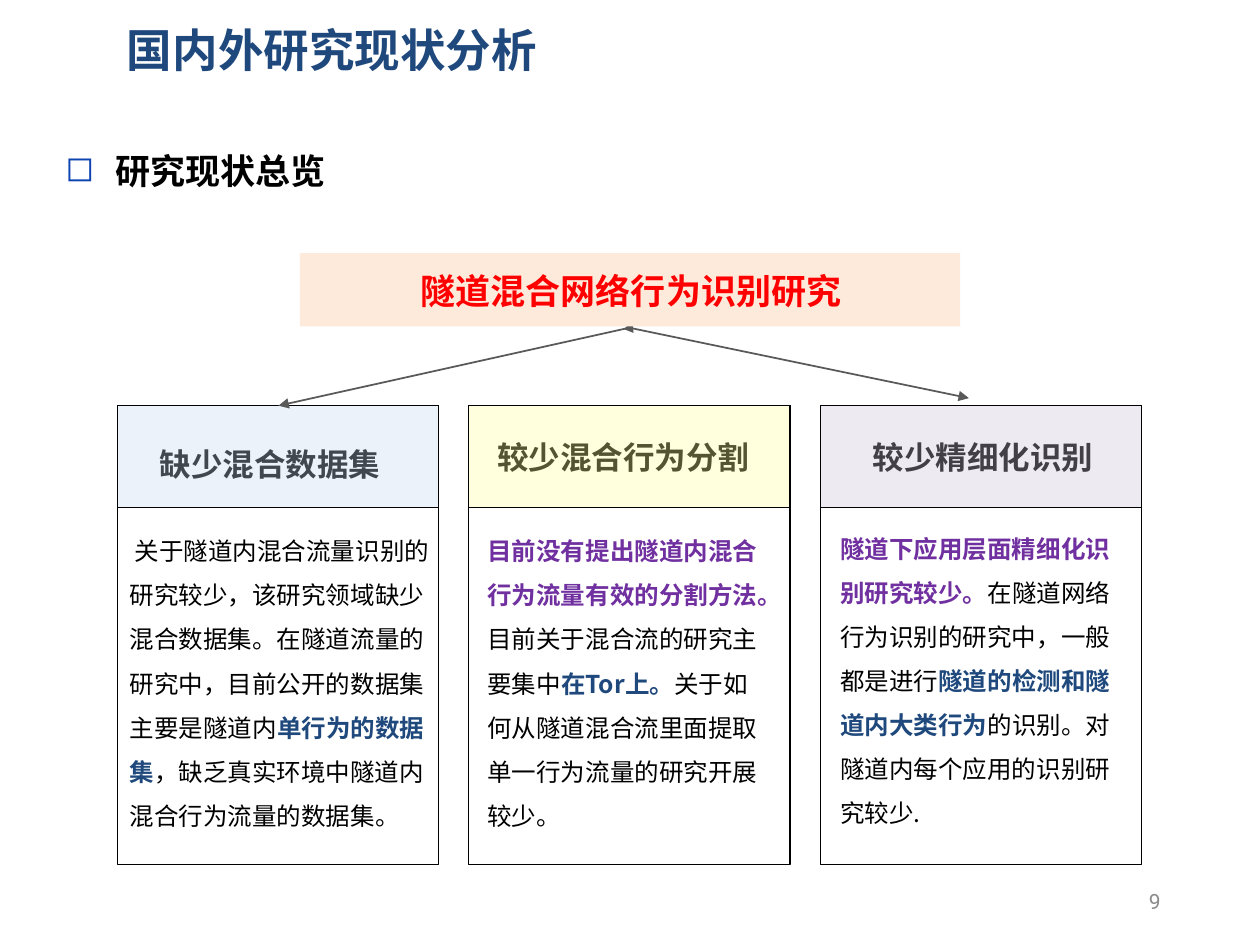
from dataclasses import dataclass

from lxml import etree
from pptx import Presentation
from pptx import util as u
from pptx.dml.color import RGBColor
from pptx.enum import shapes, text
from pptx.oxml.ns import qn

In = u.Inches


@dataclass(frozen=True)
class Theme:
    cjk: str = "Noto Sans CJK SC"
    latin: str = "Arial"
    title_font: str = "Roboto"
    black: str = "000000"
    navy: str = "1F497D"
    purple: str = "7030A0"
    red: str = "FF0000"
    bullet: str = "0E44B1"
    arrow: str = "595959"
    page: str = "8C8C8C"
    banner: str = "FDEADA"
    headers: tuple = ("C6D9F1", "FFFF99", "CCC1DA")
    title_size: int = 26
    topic_size: int = 20
    header_size: int = 18
    body_size: int = 14
    page_size: int = 12


class SlideBuilder:
    def __init__(self, slide, theme):
        self.slide, self.theme = slide, theme

    def text(self, at, runs, size, font, bold=False, spacing=None,
             align=text.PP_ALIGN.LEFT, anchor=text.MSO_ANCHOR.TOP):
        """Add a one-paragraph text box; runs are (text, colour[, bold])."""
        tf = self.slide.shapes.add_textbox(*map(In, at)).text_frame
        tf.word_wrap = True
        tf.vertical_anchor = anchor
        p = tf.paragraphs[0]
        p.alignment = align
        if spacing:
            p.line_spacing = spacing
        for words, colour, *strong in runs:
            r = p.add_run()
            r.text = words
            r.font.size = u.Pt(size)
            r.font.bold = strong[0] if strong else bold
            r.font.color.rgb = RGBColor.from_string(colour)
            r.font.name = font
            ea = etree.SubElement(r.font._element, qn("a:ea"))
            ea.set("typeface", self.theme.cjk)
        return p

    def indent(self, p, left, first, bullet=None):
        pPr = p._p.get_or_add_pPr()
        pPr.set("marL", str(In(left)))
        pPr.set("indent", str(In(first)))
        if bullet:
            clr = etree.SubElement(pPr, qn("a:buClr"))
            etree.SubElement(clr, qn("a:srgbClr")).set("val", self.theme.bullet)
            etree.SubElement(pPr, qn("a:buChar")).set("char", bullet)

    def box(self, at, fill=None, alpha=None, line=None):
        sp = self.slide.shapes.add_shape(shapes.MSO_SHAPE.RECTANGLE, *map(In, at))
        sp.shadow.inherit = False
        if fill:
            sp.fill.solid()
            sp.fill.fore_color.rgb = RGBColor.from_string(fill)
            if alpha:
                clr = sp._element.spPr.find(qn("a:solidFill"))[0]
                etree.SubElement(clr, qn("a:alpha")).set("val", str(alpha * 1000))
        else:
            sp.fill.background()
        if line:
            sp.line.color.rgb = RGBColor.from_string(line)
            sp.line.width = u.Pt(0)
        else:
            sp.line.fill.background()

    def arrow(self, start, end):
        cn = self.slide.shapes.add_connector(
            shapes.MSO_CONNECTOR.STRAIGHT, *map(In, start + end))
        cn.line.color.rgb = RGBColor.from_string(self.theme.arrow)
        cn.line.width = u.Pt(1)
        etree.SubElement(cn.line._get_or_add_ln(), qn("a:tailEnd")).set("type", "triangle")
        etree.SubElement(cn._element.spPr, qn("a:effectLst"))


def main():
    t = Theme()
    prs = Presentation()
    prs.slide_width, prs.slide_height = In(10), In(7.5)
    s = SlideBuilder(prs.slides.add_slide(prs.slide_layouts[6]), t)

    # Title and topic
    s.text((0.91, 0.07, 7.63, 0.64), [("国内外研究现状分析", t.navy)],
           t.title_size, t.title_font, bold=True, anchor=text.MSO_ANCHOR.MIDDLE)
    topic = s.text((0.42, 1.14, 9, 0.52), [("研究现状总览", t.black)],
                   t.topic_size, t.cjk, bold=True)
    s.indent(topic, 0.4, -0.4, "◻")

    # Column headings, seen through the tinted header boxes
    headings = [
        ((1.17, 3.48, 2.31, 0.4), "缺少混合数据集"),
        ((3.85, 3.43, 2.36, 0.4), "较少混合行为分割"),
        ((6.83, 3.43, 2.2, 0.4), "较少精细化识别"),
    ]
    for at, words in headings:
        s.text(at, [(words, t.black)], t.header_size, t.latin, bold=True)

    # Column frames
    for i, colour in enumerate(t.headers):
        left = 0.93 + 2.79 * i
        s.box((left, 3.22, 2.55, 3.64), line=t.black)
        s.box((left, 3.22, 2.55, 0.81), colour, alpha=33, line=t.black)

    # Arrows and banner
    for start, end in [((5, 2.6), (2.21, 3.22)),
                       ((5, 2.6), (5.02, 2.55)),
                       ((4.99, 2.6), (7.69, 3.16))]:
        s.arrow(start, end)
    s.box((2.38, 2.01, 5.24, 0.58), t.banner)
    s.text((3.24, 2.09, 3.58, 0.4), [("隧道混合网络行为识别研究", t.red)],
           t.topic_size, t.latin, bold=True)

    # Column texts
    bodies = [
        ((0.93, 4.09, 2.58, 2.57), [
            ("关于隧道内混合流量识别的研究较少，该研究领域缺少混合数据集。"
             "在隧道流量的研究中，目前公开的数据集主要是隧道内", t.black),
            ("单行为的数据集", t.navy, True),
            ("，缺乏真实环境中隧道内混合行为流量的数据集。", t.black)]),
        ((3.77, 4.09, 2.36, 2.57), [
            ("目前没有提出隧道内混合行为流量有效的分割方法。", t.purple, True),
            ("目前关于混合流的研究主要集中", t.black),
            ("在Tor上。", t.navy, True),
            ("关于如何从隧道混合流里面提取单一行为流量的研究开展较少。", t.black)]),
        ((6.57, 4.07, 2.44, 2.57), [
            ("隧道下应用层面精细化识别研究较少。", t.purple, True),
            ("在隧道网络行为识别的研究中，一般都是进行", t.black),
            ("隧道的检测和隧道内大类行为", t.navy, True),
            ("的识别。对隧道内每个应用的识别研究较少.", t.black)]),
    ]
    paragraphs = [s.text(at, runs, t.body_size, t.cjk, spacing=1.5)
                  for at, runs in bodies]
    s.indent(paragraphs[0], 0, 0.04)

    # Page number
    s.text((7.06, 6.95, 2.25, 0.4), [("9", t.page)], t.page_size, t.title_font,
           align=text.PP_ALIGN.RIGHT, anchor=text.MSO_ANCHOR.MIDDLE)

    prs.save("out.pptx")


if __name__ == "__main__":
    main()
